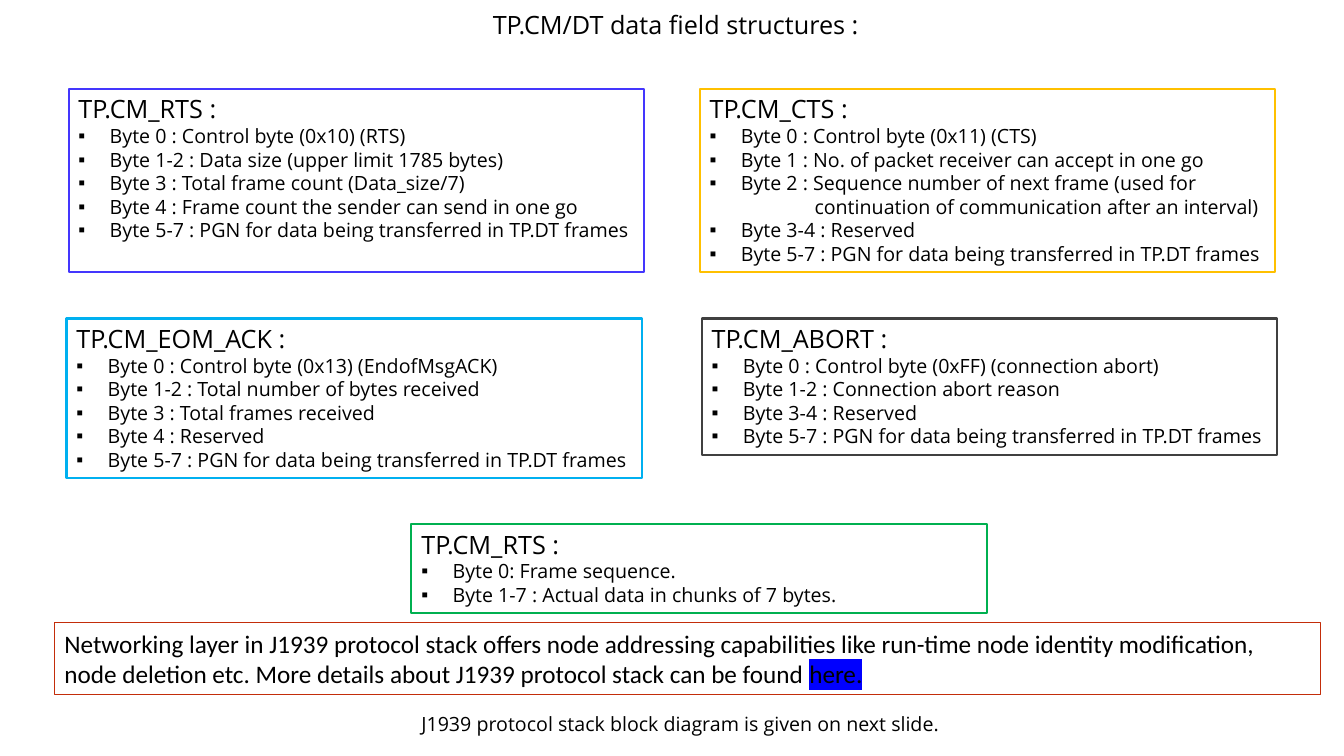
from dataclasses import dataclass
from lxml import etree
from pptx import Presentation
from pptx import util as u
from pptx.dml.color import RGBColor
from pptx.enum import shapes, text
from pptx.oxml.ns import qn


@dataclass(frozen=True)
class Theme:
    ink: str = "000000"
    mark: str = "0000FF"
    rts: str = "4436FD"
    cts: str = "FFC000"
    eom: str = "00B0F0"
    abort: str = "404040"
    data: str = "00B050"
    note: str = "C32D0A"
    face: str = "Open Sans"
    plain: str = "Calibri"
    head: int = 18
    body: int = 14
    thick: float = 1.5
    thin: float = 0.75


T = Theme()
W, H = u.Inches(13.33), u.Inches(7.5)
COL, ROW = W / 100, H / 100  # grid of 100 columns and 100 rows
WIDE = 42.83  # card width in columns
STEP = u.Inches(0.31)  # bullet indent
HANG = u.Inches(1.04)  # indent of a continued line
PGN = "Byte 5-7 : PGN for data being transferred in TP.DT frames"


def place(box):
    x, y, w, h = box
    return [u.Emu(round(n)) for n in (x * COL, y * ROW, w * COL, h * ROW)]


def style(para, size, face=T.face):
    para.alignment = text.PP_ALIGN.LEFT
    para.font.size = u.Pt(size)
    para.font.name = face
    para.font.color.rgb = RGBColor.from_string(T.ink)


def label(slide, box, words, size):
    frame = slide.shapes.add_textbox(*place(box)).text_frame
    frame.word_wrap = True
    para = frame.paragraphs[0]
    para.text = words
    style(para, size)


def panel(slide, box, color, width):
    """Outlined box without fill; gives back its text frame."""
    rect = slide.shapes.add_shape(shapes.MSO_SHAPE.RECTANGLE, *place(box))
    rect.shadow.inherit = False
    rect.fill.background()
    rect.line.color.rgb = RGBColor.from_string(color)
    rect.line.width = u.Pt(width)
    frame = rect.text_frame
    frame.word_wrap = True
    frame.vertical_anchor = text.MSO_ANCHOR.TOP
    return frame


def indent(para, left, bullet):
    props = para._p.get_or_add_pPr()
    props.set("marL", str(left))
    if bullet:
        props.set("indent", str(-left))
        etree.SubElement(props, qn("a:buFont"), typeface="Arial")
        etree.SubElement(props, qn("a:buChar"), char="▪")


def card(slide, box, color, title, lines):
    """Frame layout: a title, then bullets; '+' starts a continued line."""
    frame = panel(slide, box, color, T.thick)
    head = frame.paragraphs[0]
    head.text = title
    style(head, T.head)
    for line in lines:
        more = line.startswith("+")
        para = frame.add_paragraph()
        para.text = line.lstrip("+")
        indent(para, HANG if more else STEP, not more)
        style(para, T.body)


def note(slide, box, words, link):
    para = panel(slide, box, T.note, T.thin).paragraphs[0]
    style(para, T.head, T.plain)
    para.add_run().text = words
    run = para.add_run()
    run.text = link
    glow = etree.SubElement(run._r.get_or_add_rPr(), qn("a:highlight"))
    etree.SubElement(glow, qn("a:srgbClr"), val=T.mark)


def main():
    deck = Presentation()
    deck.slide_width, deck.slide_height = W, H
    slide = deck.slides.add_slide(deck.slide_layouts[6])

    # Heading
    label(slide, (35.93, 0.53, 32.63, 5.33),
          "TP.CM/DT data field structures :", T.head)

    # Frame cards: column, row, height in rows, colour, title, lines
    cards = [
        (5.1, 11.73, 24.27, T.rts, "TP.CM_RTS :", [
            "Byte 0 : Control byte (0x10) (RTS)",
            "Byte 1-2 : Data size (upper limit 1785 bytes)",
            "Byte 3 : Total frame count (Data_size/7)",
            "Byte 4 : Frame count the sender can send in one go",
            PGN]),
        (52.06, 11.73, 24.27, T.cts, "TP.CM_CTS :", [
            "Byte 0 : Control byte (0x11) (CTS)",
            "Byte 1 : No. of packet receiver can accept in one go",
            "Byte 2 : Sequence number of next frame (used for",
            "+continuation of communication after an interval)",
            "Byte 3-4 : Reserved",
            PGN]),
        (4.95, 42.13, 21.07, T.eom, "TP.CM_EOM_ACK :", [
            "Byte 0 : Control byte (0x13) (EndofMsgACK)",
            "Byte 1-2 : Total number of bytes received",
            "Byte 3 : Total frames received",
            "Byte 4 : Reserved",
            PGN]),
        (52.21, 42.13, 18, T.abort, "TP.CM_ABORT :", [
            "Byte 0 : Control byte (0xFF) (connection abort)",
            "Byte 1-2 : Connection abort reason",
            "Byte 3-4 : Reserved",
            PGN]),
        (30.61, 69.33, 11.73, T.data, "TP.CM_RTS :", [
            "Byte 0: Frame sequence.",
            "Byte 1-7 : Actual data in chunks of 7 bytes."]),
    ]
    for x, y, h, color, title, lines in cards:
        card(slide, (x, y, WIDE, h), color, title, lines)

    # Closing line and note
    label(slide, (30.61, 93.47, 56.26, 4.53),
          "J1939 protocol stack block diagram is given on next slide.", T.body)
    note(slide, (4.05, 82.4, 94.22, 9.47),
         "Networking layer in J1939 protocol stack offers node addressing "
         "capabilities like run-time node identity modification, node deletion "
         "etc. More details about J1939 protocol stack can be found ", "here.")

    deck.save("out.pptx")


if __name__ == "__main__":
    main()
